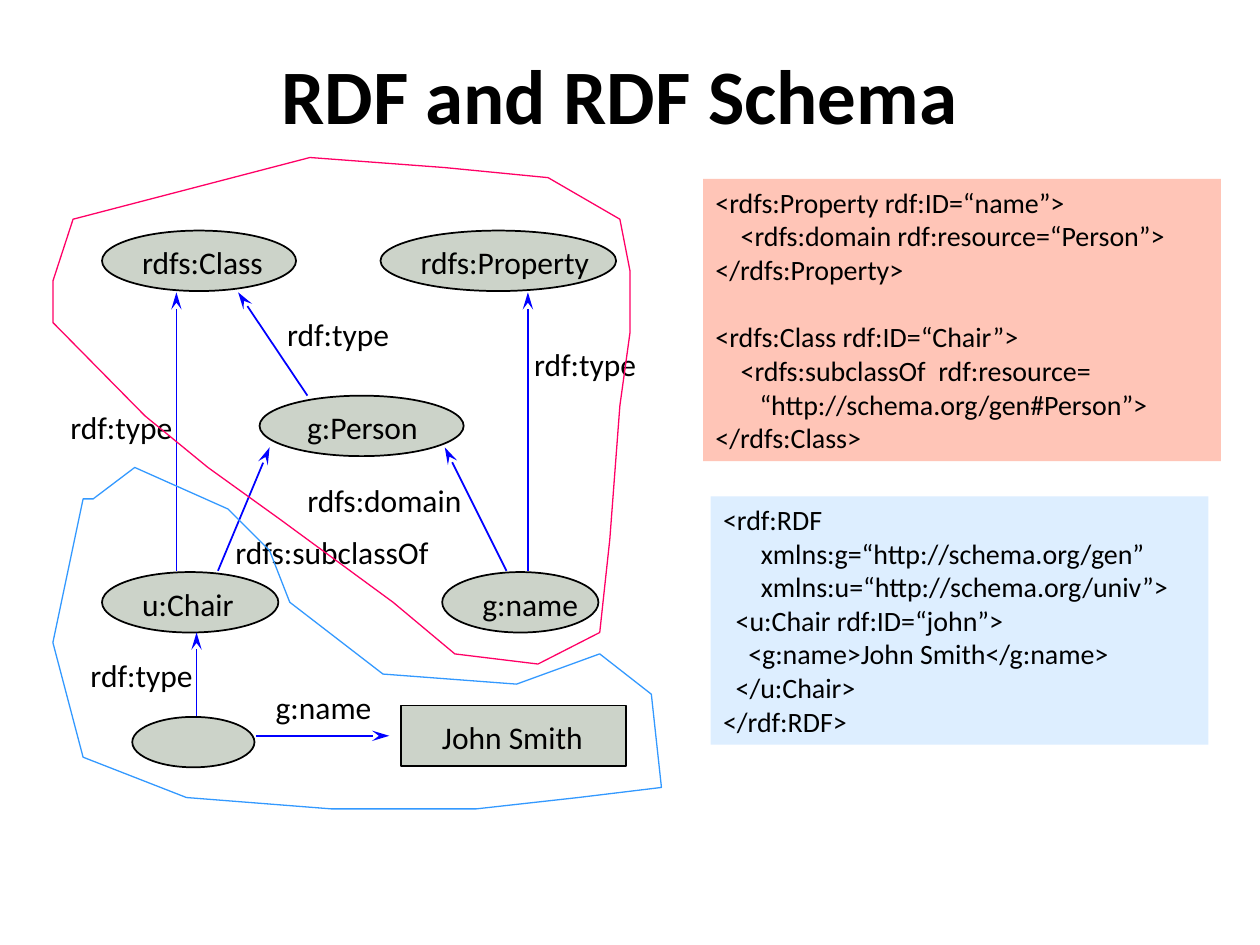
import pptx
import pptx.util
import pptx.dml.color
import pptx.enum.shapes
import pptx.enum.text
import pptx.oxml.ns
import lxml.etree

Inches, Pt = pptx.util.Inches, pptx.util.Pt
RGBColor = pptx.dml.color.RGBColor
Kind = pptx.enum.shapes.MSO_SHAPE
Align, Anchor = pptx.enum.text.PP_ALIGN, pptx.enum.text.MSO_ANCHOR

BLACK = RGBColor(0, 0, 0)
GRAY = RGBColor(0xCC, 0xD3, 0xC9)
BLUE = RGBColor(0, 0, 0xFF)
ROSE = RGBColor(0xFF, 0, 0x66)
SKY = RGBColor(0x33, 0x99, 0xFF)
PEACH = RGBColor(0xFF, 0xC5, 0xB7)
PALE = RGBColor(0xDD, 0xEE, 0xFF)
FONT = "Calibri"
SPACE = 3.6  # points per indent step in the code
LINE = 19.5  # points per code line

TITLE = "RDF and RDF Schema"

# Code panels: place, fill, paragraphs as (indent steps, text, lines skipped above)
PANELS = [
    ((5.64, 3.94, 3.95, 1.97), PALE, [
        (0, "<rdf:RDF", 0),
        (6, "xmlns:g=“http://schema.org/gen”", 0),
        (6, "xmlns:u=“http://schema.org/univ”>", 0),
        (2, "<u:Chair rdf:ID=“john”>", 0),
        (4, "<g:name>John Smith</g:name>", 0),
        (2, "</u:Chair>", 0),
        (0, "</rdf:RDF>", 0)]),
    ((5.58, 1.42, 4.11, 2.24), PEACH, [
        (0, "<rdfs:Property rdf:ID=“name”>", 0),
        (4, "<rdfs:domain rdf:resource=“Person”>", 0),
        (0, "</rdfs:Property>", 0),
        (0, "<rdfs:Class rdf:ID=“Chair”>", 1),
        (4, "<rdfs:subclassOf  rdf:resource=", 0),
        (7, "“http://schema.org/gen#Person”>", 0),
        (0, "</rdfs:Class>", 0)]),
]

# Graph nodes: shape and place
NODES = [
    (Kind.OVAL, (0.81, 4.54, 1.4, 0.48)),
    (Kind.RECTANGLE, (3.18, 5.6, 1.79, 0.48)),
    (Kind.OVAL, (1.05, 5.69, 0.97, 0.4)),
    (Kind.OVAL, (2.06, 3.14, 1.62, 0.48)),
    (Kind.OVAL, (3.51, 4.54, 1.24, 0.48)),
    (Kind.OVAL, (0.81, 1.83, 1.54, 0.48)),
    (Kind.OVAL, (3.02, 1.83, 1.87, 0.48)),
]

# Labels of nodes and arrows: text, left, top, width
LABELS = [
    ("u:Chair", 1.03, 4.59, 0.95), ("John Smith", 3.41, 5.65, 1.33),
    ("g:Person", 2.34, 3.19, 1.1), ("g:name", 3.73, 4.59, 0.97),
    ("rdfs:Class", 1.03, 1.88, 1.2), ("rdfs:Property", 3.24, 1.88, 1.56),
    ("rdf:type", 0.62, 5.16, 1.03), ("g:name", 2.09, 5.41, 0.97),
    ("rdf:type", 4.14, 2.69, 1.03), ("rdf:type", 2.18, 2.45, 1.03),
    ("rdf:type", 0.46, 3.19, 1.03), ("rdfs:subclassOf", 1.77, 4.18, 1.76),
    ("rdfs:domain", 2.34, 3.77, 1.45),
]

ARROWS = [
    (1.56, 5.68, 1.56, 5.02), (2.03, 5.84, 3.09, 5.84),
    (1.4, 4.53, 1.4, 2.32), (2.44, 3.14, 1.89, 2.32),
    (4.19, 4.53, 4.19, 2.32), (1.73, 4.53, 2.14, 3.55),
    (4.02, 4.53, 3.53, 3.55),
]

# Outlines around the schema and the data
LOOPS = [
    (ROSE, [(0.58, 1.74), (2.46, 1.25), (3.53, 1.33), (4.35, 1.41), (4.92, 1.74),
            (5, 2.15), (5, 2.64), (4.92, 3.22), (4.84, 4.28), (4.76, 5.02),
            (4.27, 5.27), (3.61, 5.19), (3.12, 4.78), (2.22, 4.12), (1.65, 3.71),
            (1.15, 3.3), (0.42, 2.56), (0.42, 2.23)]),
    (SKY, [(0.66, 3.96), (0.42, 5.1), (0.66, 6.01), (1.48, 6.33), (2.63, 6.42),
           (3.78, 6.42), (4.59, 6.33), (5.25, 6.25), (5.17, 5.51), (4.76, 5.19),
           (4.1, 5.43), (3.04, 5.35), (2.3, 4.78), (2.14, 4.37), (1.81, 4.04),
           (1.07, 3.71), (0.74, 3.96)]),
]

deck = pptx.Presentation()
deck.slide_width, deck.slide_height = Inches(10), Inches(7.5)
slide = deck.slides.add_slide(deck.slide_layouts[6])
shapes = slide.shapes


def emu(nums):
    return [Inches(n) for n in nums]


def write(shape, lines, size=18, bold=False, align=Align.LEFT,
          anchor=Anchor.TOP, wrap=False):
    """Fill a shape with (indent, text, lines skipped) paragraphs."""
    frame = shape.text_frame
    frame.word_wrap = wrap
    frame.vertical_anchor = anchor
    for i, (steps, text, skip) in enumerate(lines):
        para = frame.add_paragraph() if i else frame.paragraphs[0]
        para.alignment = align
        if skip:
            para.space_before = Pt(skip * LINE)
        if steps:
            para._p.get_or_add_pPr().set("marL", str(Pt(steps * SPACE)))
        run = para.add_run()
        run.text = text
        font = run.font
        font.name, font.size, font.bold = FONT, Pt(size), bold
        font.color.rgb = BLACK


def style(shape, fill=None, line=None, width=1):
    shape.shadow.inherit = False
    if fill is None:
        shape.fill.background()
    else:
        shape.fill.solid()
        shape.fill.fore_color.rgb = fill
    if line is None:
        shape.line.fill.background()
    else:
        shape.line.color.rgb = line
        shape.line.width = Pt(width)


def arrow(ends):
    link = shapes.add_connector(pptx.enum.shapes.MSO_CONNECTOR.STRAIGHT, *emu(ends))
    link.line.color.rgb = BLUE
    link.line.width = Pt(1)
    qn = pptx.oxml.ns.qn
    tip = lxml.etree.SubElement(link.line._get_or_add_ln(), qn("a:tailEnd"))
    tip.set("type", "stealth")
    tip.set("w", "med")
    tip.set("len", "lg")
    lxml.etree.SubElement(link._element.spPr, qn("a:effectLst"))


# Title
write(shapes.add_textbox(*emu((0.42, 0.22, 9, 0.94))), [(0, TITLE, 0)],
      size=44, bold=True, align=Align.CENTER, anchor=Anchor.BOTTOM, wrap=True)

# Code panels
for place, fill, lines in PANELS:
    panel = shapes.add_shape(Kind.RECTANGLE, *emu(place))
    style(panel, fill)
    write(panel, lines, size=16, wrap=True)

# Graph
for kind, place in NODES:
    style(shapes.add_shape(kind, *emu(place)), GRAY, BLACK)
for ends in ARROWS:
    arrow(ends)
for text, left, top, width in LABELS:
    write(shapes.add_textbox(*emu((left, top, width, 0.4))), [(0, text, 0)])

# Outlines
for color, points in LOOPS:
    first, *rest = [emu(point) for point in points]
    pen = shapes.build_freeform(*first)
    pen.add_line_segments(rest, close=True)
    style(pen.convert_to_shape(), line=color, width=0.75)

deck.save("out.pptx")
